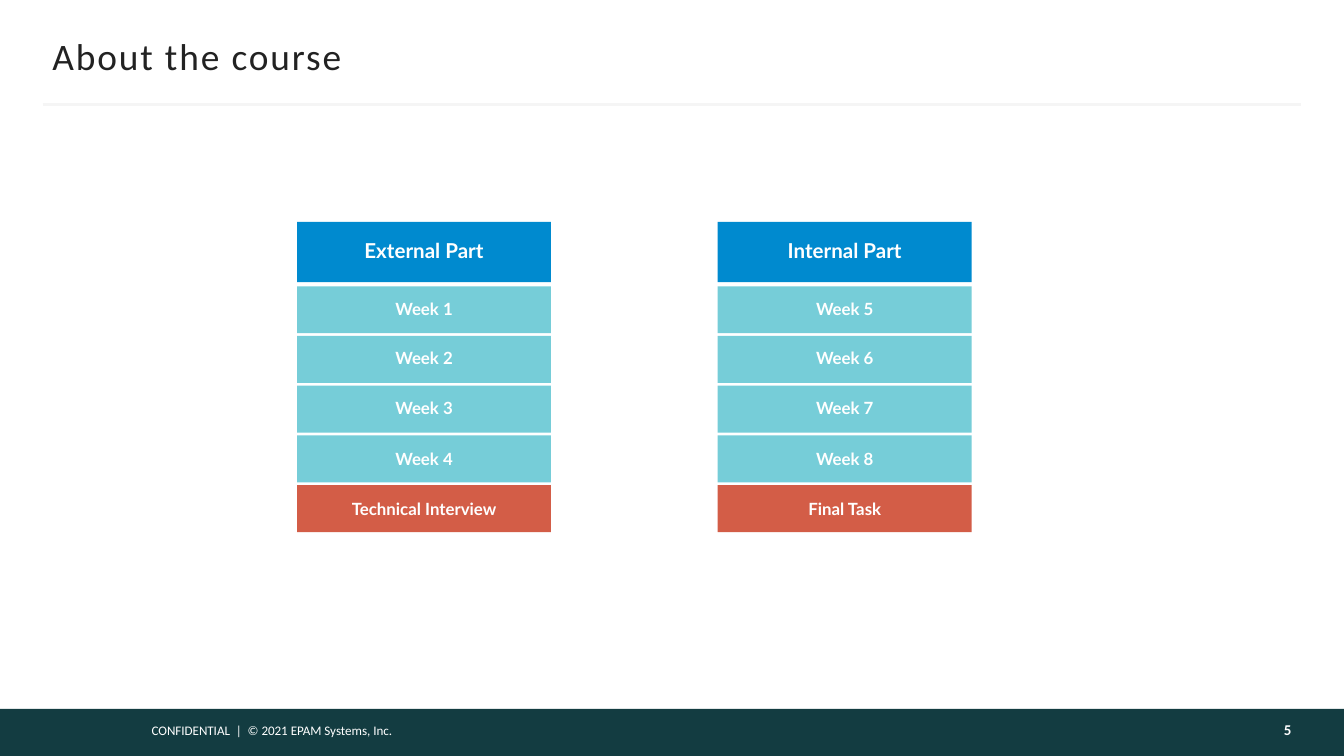
from lxml import etree
from pptx import Presentation
from pptx.dml.color import RGBColor
from pptx.enum.shapes import MSO_CONNECTOR, MSO_SHAPE
from pptx.enum.text import MSO_ANCHOR, PP_ALIGN
from pptx.oxml.ns import qn
from pptx.util import Inches, Pt

LEFT, CENTER, RIGHT = PP_ALIGN.LEFT, PP_ALIGN.CENTER, PP_ALIGN.RIGHT
MIDDLE, TOP = MSO_ANCHOR.MIDDLE, MSO_ANCHOR.TOP
RECT, STRAIGHT = MSO_SHAPE.RECTANGLE, MSO_CONNECTOR.STRAIGHT

WIDTH = 10
HEIGHT = WIDTH * 9 / 16
BAR_H = 0.35
BAR_TOP = HEIGHT - BAR_H
GRID_LEFT, GRID_TOP = 2.21, 1.65
COL_W, COL_STEP = 1.89, 3.13
HEADER_H, HEADER_STEP = 0.45, 0.48
ROW_H, ROW_STEP = 0.35, 0.37
BLUE, TEAL, RED = "008ACF", "76CDD8", "D35D47"
WHITE, DARK, RULE, BAR = "FFFFFF", "222222", "F5F5F5", "133C41"
NUMBER = "FEFEFE"
PARTS = [
    ("External Part", range(1, 5), "Technical Interview"),
    ("Internal Part", range(5, 9), "Final Task"),
]


def rgb(value):
    """Turn a hex string into a colour."""
    return RGBColor.from_string(value)


def write(sp, text, size, font, color, bold=False, align=LEFT, anchor=MIDDLE,
          insets=(0, 0, 0, 0), spacing=1.0):
    """Fill a shape with one formatted paragraph and return its run."""
    tf = sp.text_frame
    tf.text = text
    tf.word_wrap = True
    tf.vertical_anchor = anchor
    tf.margin_left, tf.margin_top, tf.margin_right, tf.margin_bottom = map(Inches, insets)
    p = tf.paragraphs[0]
    p.alignment = align
    p.line_spacing = spacing
    r = p.runs[0]
    r.font.size, r.font.name, r.font.bold = Pt(size), font, bold
    r.font.color.rgb = rgb(color)
    return r


def add_box(slide, x, y, w, h, fill):
    """Add a plain filled rectangle."""
    sp = slide.shapes.add_shape(RECT, Inches(x), Inches(y), Inches(w), Inches(h))
    sp.shadow.inherit = False
    sp.fill.solid()
    sp.fill.fore_color.rgb = rgb(fill)
    sp.line.fill.background()
    return sp


def add_label(slide, x, y, w, h, text, size, color, **style):
    """Add a text box with Calibri text."""
    sp = slide.shapes.add_textbox(Inches(x), Inches(y), Inches(w), Inches(h))
    write(sp, text, size, "Calibri", color, **style)


def add_rule(slide, x1, x2, y):
    """Add the thin rule under the title."""
    line = slide.shapes.add_connector(STRAIGHT, Inches(x1), Inches(y), Inches(x2), Inches(y))
    line.line.color.rgb = rgb(RULE)
    line.line.width = Pt(1.5)
    etree.SubElement(line._element.spPr, qn("a:effectLst"))


def set_title(slide, text):
    """Place and format the title placeholder."""
    sp = slide.shapes.title
    sp.left, sp.top, sp.width, sp.height = map(Inches, (0.39, 0.25, 9.22, 0.33))
    r = write(sp, text, 20, "Calibri", DARK, insets=(0, 0.05, 0, 0.05))
    r.font._element.set("spc", "100")


def add_part(slide, col, heading, weeks, ending):
    """Add one course part as a header, its weeks and a closing step."""
    x = GRID_LEFT + col * COL_STEP
    header = add_box(slide, x, GRID_TOP, COL_W, HEADER_H, BLUE)
    write(header, heading, 11, "Lato", WHITE, True, CENTER,
          insets=(0.1, 0, 0.1, 0), spacing=0.9)
    rows = [(f"Week {week}", TEAL) for week in weeks] + [(ending, RED)]
    for i, (text, fill) in enumerate(rows):
        y = GRID_TOP + HEADER_STEP + i * ROW_STEP
        box = add_box(slide, x, y, COL_W, ROW_H, fill)
        write(box, text, 9, "Lato", WHITE, True, CENTER, spacing=0.9 if i < 3 else 1.0)


def main():
    """Build the slide and save it."""
    prs = Presentation()
    prs.slide_width, prs.slide_height = Inches(WIDTH), Inches(HEIGHT)
    slide = prs.slides.add_slide(prs.slide_layouts[5])
    add_box(slide, 0, BAR_TOP, WIDTH, BAR_H, BAR)
    add_label(slide, 1.03, 5.33, 2.65, 0.22, "CONFIDENTIAL  |  © 2021 EPAM Systems, Inc.", 7,
              WHITE, anchor=TOP, insets=(0.1, 0.05, 0.1, 0.05))
    add_rule(slide, 0.32, WIDTH - 0.32, 0.78)
    set_title(slide, "About the course")
    for col, part in enumerate(PARTS):
        add_part(slide, col, *part)
    add_label(slide, 8.11, BAR_TOP, 1.5, BAR_H, "5", 8, NUMBER, bold=True, align=RIGHT,
              insets=(0.1, 0.05, 0, 0.09))
    prs.save("out.pptx")


if __name__ == "__main__":
    main()
